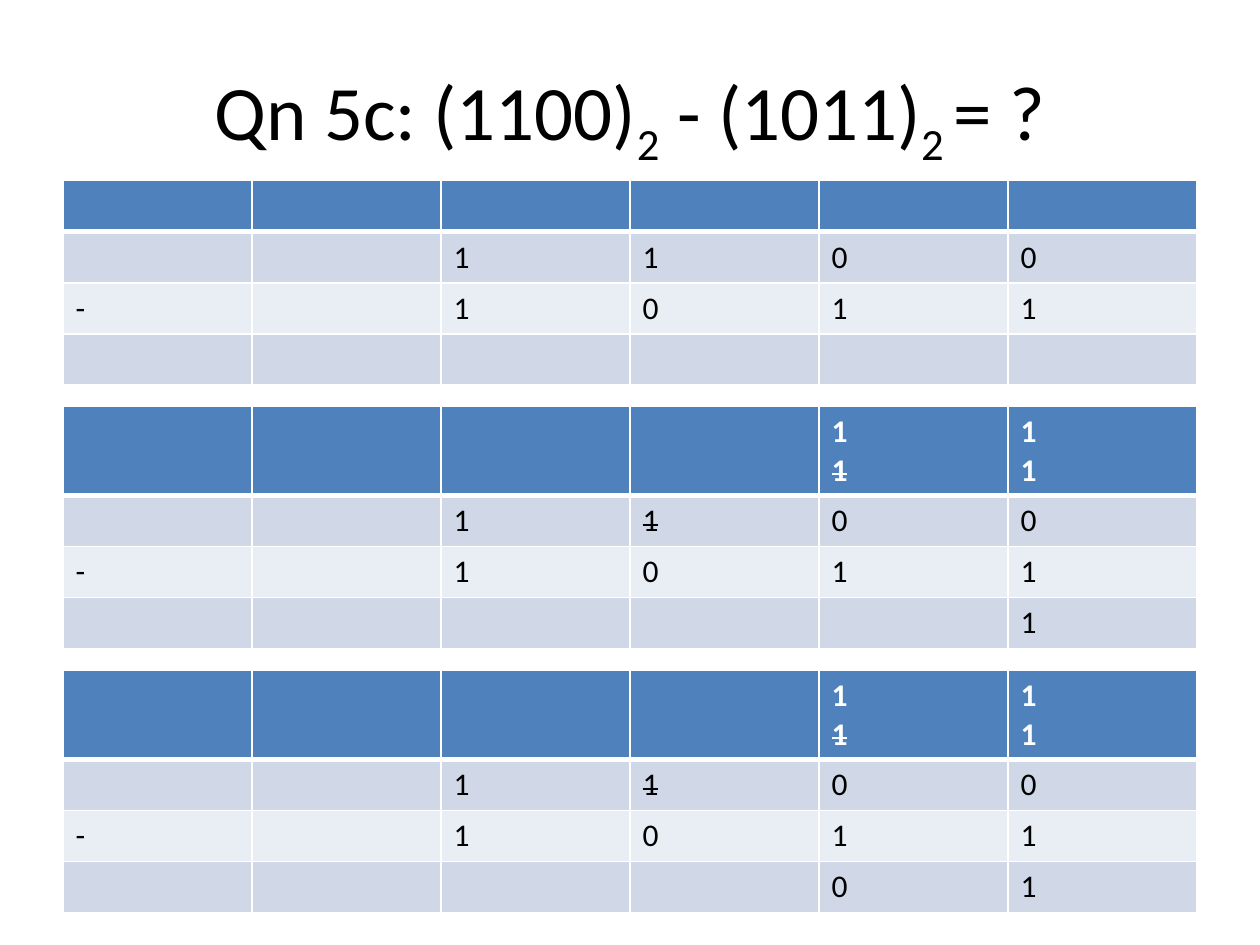
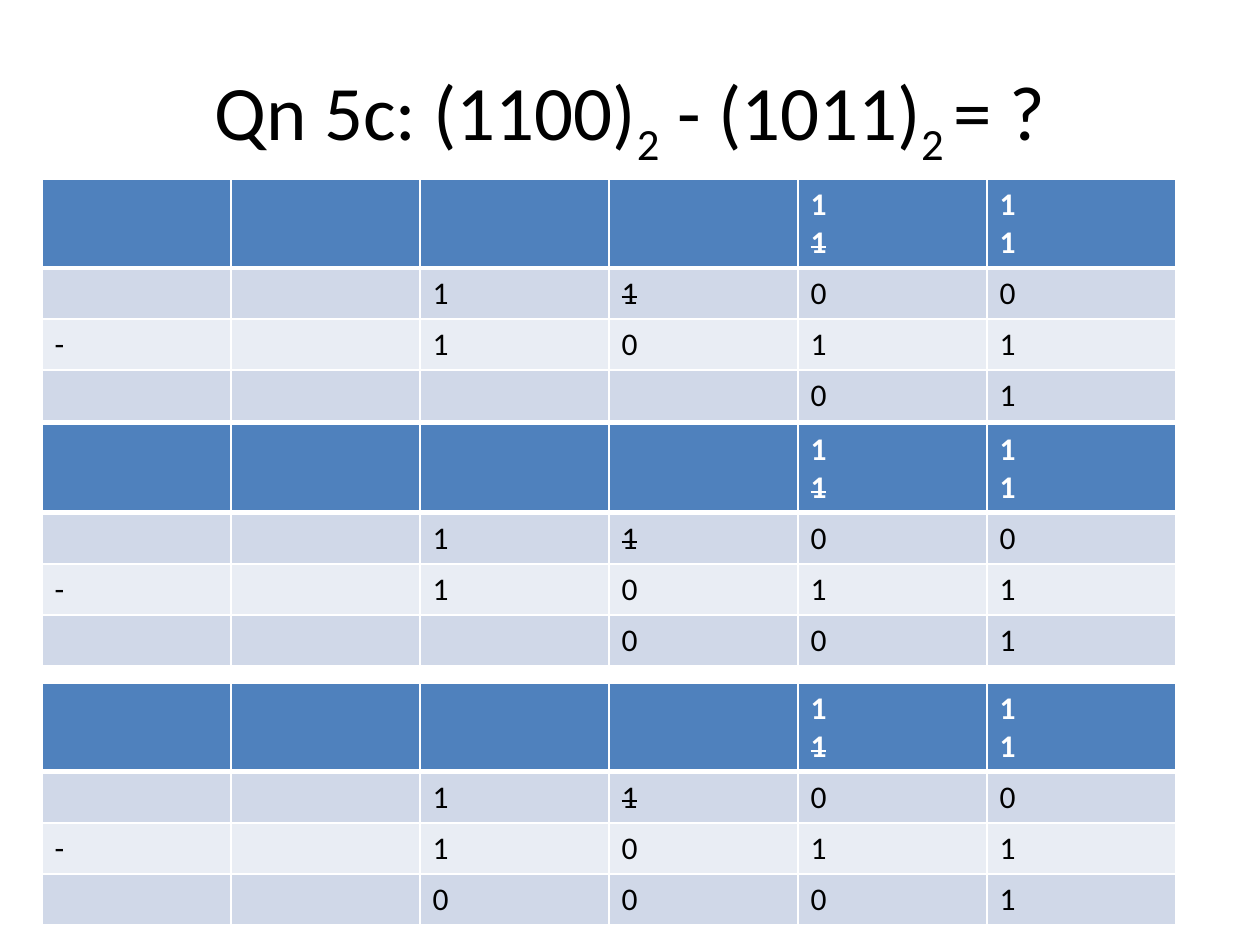
from dataclasses import dataclass

from lxml.etree import SubElement
from pptx import Presentation
from pptx.dml.color import RGBColor
from pptx.enum.text import MSO_ANCHOR as Anchor, PP_ALIGN as Align
from pptx.oxml.ns import qn
from pptx.slide import Slide
from pptx.util import Pt

FONT = "Calibri"
WHITE, BLACK = "FFFFFF", "000000"
HEADER_FILL = "4F81BD"
BAND_FILLS = ("E9EDF4", "D0D8E8")  # even rows, odd rows

COLUMNS = 6
COLUMN_WIDTH = 108
ROW_HEIGHT = 29.2
CARRY_ROW_HEIGHT = 50.8
THIN, THICK = 1, 3

# Title pieces, each with whether it is a subscript
TITLE = (("Qn 5c: (1100)", False), ("2", True), (" - (1011)", False),
         ("2 ", True), ("= ?", False))

STRIKE = "~"  # marks a digit that is crossed out
NO_CARRY = [""] * COLUMNS
CARRY = ["", "", "", "", "1\n~1", "1\n1"]


@dataclass
class Subtraction:
    left: float
    top: float
    result: str
    borrowed: bool = True

    def rows(self) -> list[list[str]]:
        """Carry row, upper number, lower number and result."""
        return [
            CARRY if self.borrowed else NO_CARRY,
            ["", "", "1", "~1" if self.borrowed else "1", "0", "0"],
            ["-", "", "1", "0", "1", "1"],
            list(self.result.rjust(COLUMNS)),
        ]


SLIDES = (
    (Subtraction(36, 103.2, "", borrowed=False),
     Subtraction(36, 232.2, "1"),
     Subtraction(36, 383.1, "01")),
    (Subtraction(24, 102.3, "01"),
     Subtraction(24, 242.2, "001"),
     Subtraction(24, 390.2, "0001")),
)


def color(value: str) -> RGBColor:
    return RGBColor.from_string(value)


def format_run(run, size: float, text_color: str, bold: bool = False) -> None:
    run.font.name = FONT
    run.font.size = Pt(size)
    run.font.bold = bold
    run.font.color.rgb = color(text_color)


def add_title(slide: Slide) -> None:
    box = slide.shapes.add_textbox(Pt(36), Pt(21.6), Pt(648), Pt(90))
    box.text_frame.word_wrap = True
    box.text_frame.vertical_anchor = Anchor.MIDDLE
    paragraph = box.text_frame.paragraphs[0]
    paragraph.alignment = Align.CENTER
    for text, subscript in TITLE:
        run = paragraph.add_run()
        run.text = text
        format_run(run, 44, BLACK)
        if subscript:
            run.font._element.set("baseline", "-25000")


def add_borders(cell, top: float, bottom: float) -> None:
    properties = cell._tc.get_or_add_tcPr()
    for side, width in (("L", THIN), ("R", THIN), ("T", top), ("B", bottom)):
        line = SubElement(properties, qn(f"a:ln{side}"), w=str(Pt(width)))
        fill = SubElement(line, qn("a:solidFill"))
        SubElement(fill, qn("a:srgbClr"), val=WHITE)


def fill_cell(cell, text: str, row: int) -> None:
    header = row == 0
    add_borders(cell, THICK if row == 1 else THIN, THICK if header else THIN)
    cell.fill.solid()
    cell.fill.fore_color.rgb = color(HEADER_FILL if header else BAND_FILLS[row % 2])
    cell.text_frame.text = text.strip()
    for paragraph in cell.text_frame.paragraphs:
        for run in paragraph.runs:
            if run.text.startswith(STRIKE):
                run.text = run.text.removeprefix(STRIKE)
                run.font._element.set("strike", "sngStrike")
            format_run(run, 18, WHITE if header else BLACK, bold=header)


def add_subtraction(slide: Slide, subtraction: Subtraction) -> None:
    rows = subtraction.rows()
    heights = [CARRY_ROW_HEIGHT if subtraction.borrowed else ROW_HEIGHT]
    heights += [ROW_HEIGHT] * (len(rows) - 1)
    table = slide.shapes.add_table(
        len(rows), COLUMNS, Pt(subtraction.left), Pt(subtraction.top),
        Pt(COLUMNS * COLUMN_WIDTH), Pt(sum(heights))).table
    for row, (height, texts) in enumerate(zip(heights, rows)):
        table.rows[row].height = Pt(height)
        for column, text in enumerate(texts):
            fill_cell(table.cell(row, column), text, row)


def main() -> None:
    presentation = Presentation()
    presentation.slide_width, presentation.slide_height = Pt(720), Pt(540)
    for subtractions in SLIDES:
        slide = presentation.slides.add_slide(presentation.slide_layouts[6])
        add_title(slide)
        for subtraction in subtractions:
            add_subtraction(slide, subtraction)
    presentation.save("out.pptx")


if __name__ == "__main__":
    main()
